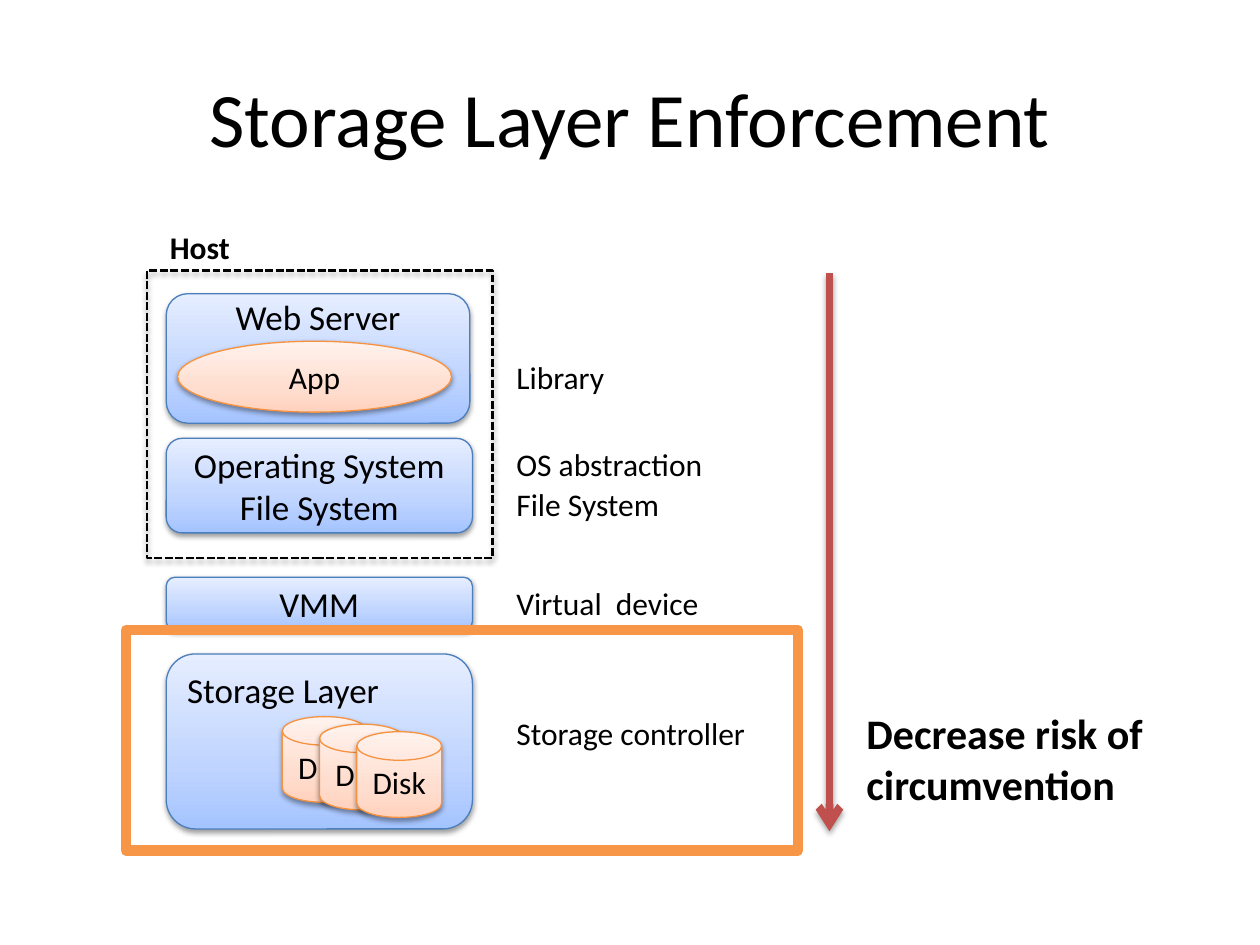
"""Build the Storage Layer Enforcement slide."""
from copy import deepcopy

from lxml.etree import SubElement
from pptx import Presentation
from pptx.dml.color import RGBColor as RGB
from pptx.enum.dml import MSO_LINE as Dash
from pptx.enum.shapes import MSO_CONNECTOR as Conn, MSO_SHAPE as Shape
from pptx.enum.text import MSO_ANCHOR as Anchor, PP_ALIGN as Align
from pptx.oxml.ns import qn
from pptx.util import Pt

COLORS = {"text": "000000", "blue": "4B7EBC", "peach": "F69240",
          "frame": "F79646", "arrow": "C0504D", "shadow": "000000"}
GRADIENTS = {"blue": ("A4C4FF", "BFD4FF", "E6EEFF"),
             "peach": ("FFD2BD", "FFDED0", "FFF2ED")}
STOPS = (0, 0.35, 1)
FONT = "Calibri"
LAYER_X, LAYER_W = 95, 175
LABEL_X, LABEL_W, LABEL_H = 288, 191.5, 29

TITLE = ("Storage Layer Enforcement", (36, 21.6, 648, 90))
HOST = ("Host", (90, 126.7, LABEL_W, LABEL_H))
RISK = ("Decrease risk of circumvention", (488, 401, 220.5, 65.5))
WEB_SERVER = ("Web Server", 167.8, 173.5, 74)
LAYERS = [("Operating System\nFile System", 250.5, LAYER_W, 54),
          ("VMM", 329.8, LAYER_W, 30.3)]
STORAGE = ("Storage Layer", 373.7, LAYER_W, 100)
APP = ("App", (101.5, 195, 156.5, 40.5))
LABELS = [("Library", 201), ("OS abstraction", 250.5), ("File System", 273.5),
          ("Virtual  device", 330), ("Storage controller", 404.5)]
DISK = {"text": "Disk", "count": 3, "x": 161.3, "y": 409.5,
        "dx": 21.3, "dy": 4.3, "w": 48.5, "h": 49}
HOST_BOX = (84, 154.7, 197.5, 164.3)
FRAME = (72, 360, 384, 126)
ARROW = (474, 475, 474, 156)


def apply(obj, **values):
    for name, value in values.items():
        setattr(obj, name, value)


def write(sp, text, size, align=Align.LEFT, bold=False, **frame):
    tf = sp.text_frame
    apply(tf, word_wrap=True, **frame)
    tf.text = text
    for p in tf.paragraphs:
        p.alignment = align
        for r in p.runs:
            apply(r.font, name=FONT, size=Pt(size), bold=bold)
            r.font.color.rgb = RGB.from_string(COLORS["text"])


def add_text(text, box, size, **style):
    write(slide.shapes.add_textbox(*map(Pt, box)), text, size, **style)


def set_line(sp, color, width, dash=None):
    sp.line.color.rgb = RGB.from_string(COLORS[color])
    apply(sp.line, width=Pt(width), dash_style=dash)


def set_shadow(sp, alpha=None, dist=0):
    spPr = sp._element.spPr
    effects = SubElement(spPr, qn("a:effectLst"))
    if alpha:
        shadow = SubElement(effects, qn("a:outerShdw"), blurRad=str(Pt(3.1)),
                            dist=str(Pt(dist)), dir="5400000", rotWithShape="0")
        color = SubElement(shadow, qn("a:srgbClr"), val=COLORS["shadow"])
        SubElement(color, qn("a:alpha"), val=str(alpha * 1000))


def set_gradient(sp, name):
    sp.fill.gradient()
    sp.fill.gradient_angle = 90
    first = sp._element.spPr.find(".//" + qn("a:gs"))
    first.addnext(deepcopy(first))
    for stop, position, color in zip(sp.fill.gradient_stops, STOPS, GRADIENTS[name]):
        stop.position = position
        stop.color.rgb = RGB.from_string(color)


def add_block(kind, text, box, color, size, anchor=Anchor.MIDDLE, align=Align.CENTER, **frame):
    sp = slide.shapes.add_shape(kind, *map(Pt, box))
    set_gradient(sp, color)
    set_line(sp, color, 0.75)
    set_shadow(sp, 38, 1.6)
    write(sp, text, size, align, vertical_anchor=anchor, **frame)


def add_layer(text, y, w, h, **style):
    add_block(Shape.ROUNDED_RECTANGLE, text, (LAYER_X, y, w, h), "blue", 20, **style)


def add_outline(box, color, width, dash=None, **shadow):
    sp = slide.shapes.add_shape(Shape.RECTANGLE, *map(Pt, box))
    sp.fill.background()
    set_line(sp, color, width, dash)
    set_shadow(sp, **shadow)


def add_arrow(ends):
    cx = slide.shapes.add_connector(Conn.STRAIGHT, *map(Pt, ends))
    set_line(cx, "arrow", 4.5)
    SubElement(cx.line._get_or_add_ln(), qn("a:headEnd"), type="arrow")
    set_shadow(cx, 35, 1.8)


prs = Presentation()
apply(prs, slide_width=Pt(720), slide_height=Pt(540))
slide = prs.slides.add_slide(prs.slide_layouts[6])

add_text(*TITLE, 44, align=Align.CENTER, vertical_anchor=Anchor.MIDDLE)
add_layer(*WEB_SERVER, margin_top=0, margin_bottom=Pt(48))
add_outline(HOST_BOX, "text", 1.5, Dash.SQUARE_DOT, alpha=35, dist=1.8)
add_text(*HOST, 18, bold=True)
add_block(Shape.OVAL, *APP, "peach", 18)
for layer in LAYERS:
    add_layer(*layer)
for label, y in LABELS:
    add_text(label, (LABEL_X, y, LABEL_W, LABEL_H), 18)
add_arrow(ARROW)
add_text(*RISK, 24, bold=True)
add_layer(*STORAGE, anchor=Anchor.TOP, align=Align.LEFT)
for i in range(DISK["count"]):
    box = (DISK["x"] + i * DISK["dx"], DISK["y"] + i * DISK["dy"], DISK["w"], DISK["h"])
    add_block(Shape.FLOWCHART_MAGNETIC_DISK, DISK["text"], box, "peach", 18)
add_outline(FRAME, "frame", 6)

prs.save("out.pptx")
